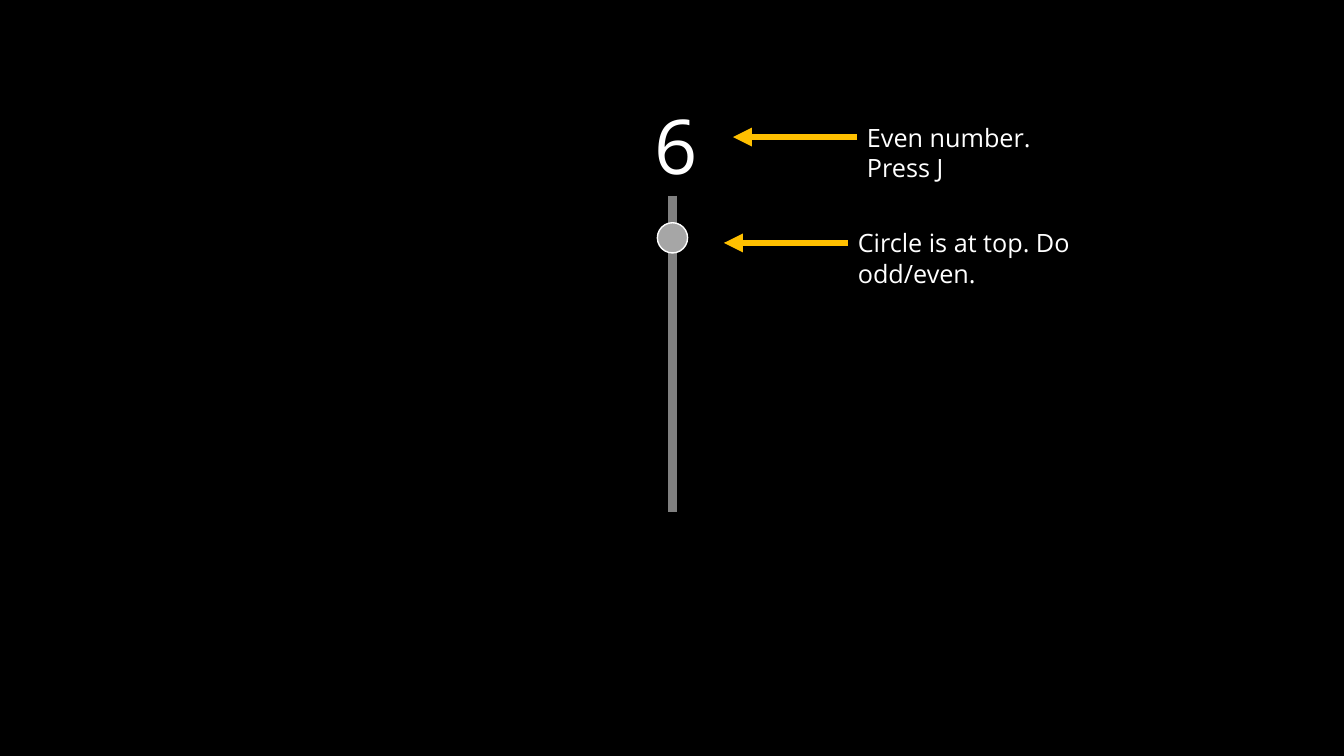
"""Build the odd/even task slide with a slider, a cue number and two notes."""
from pptx import Presentation
from pptx.dml.color import RGBColor
from pptx.enum.shapes import MSO_CONNECTOR as Connector, MSO_SHAPE as Shape
from pptx.oxml.ns import qn
from pptx.util import Inches, Pt
from lxml.etree import SubElement

COLORS = {"background": "000000", "text": "FFFFFF", "track": "808080",
          "knob": "A6A6A6", "arrow": "FFC000"}
COLORS = {name: RGBColor.from_string(value) for name, value in COLORS.items()}

deck = Presentation()
deck.slide_width, deck.slide_height = Inches(13.33), Inches(7.5)
page = deck.slides.add_slide(deck.slide_layouts[6])
page.background.fill.solid()
page.background.fill.fore_color.rgb = COLORS["background"]


def add_text(text, left, top, width, height, size):
    box = page.shapes.add_textbox(*map(Inches, (left, top, width, height)))
    box.text_frame.word_wrap = True
    span = box.text_frame.paragraphs[0].add_run()
    span.text = text
    for name, value in {"name": "Open Sans", "size": Pt(size)}.items():
        setattr(span.font, name, value)
    span.font.color.rgb = COLORS["text"]


def add_line(start, end, color, weight):
    line = page.shapes.add_connector(Connector.STRAIGHT, *map(Inches, start + end))
    line.line.color.rgb = COLORS[color]
    line.line.width = Pt(weight)
    SubElement(line._element.spPr, qn("a:effectLst"))
    return line


add_text("6", 6.39, 0.93, 0.54, 1.01, 54)
add_line((6.67, 1.94), (6.67, 5.08), "track", 6)

knob = page.shapes.add_shape(Shape.OVAL, *map(Inches, (6.52, 2.21, 0.3, 0.3)))
knob.shadow.inherit = False
knob.fill.solid()
knob.fill.fore_color.rgb = COLORS["knob"]
knob.line.color.rgb = COLORS["text"]
knob.line.width = Pt(1)

notes = [("Even number. Press J", 8.5, 1.16, 2.25),
         ("Circle is at top. Do odd/even.", 8.41, 2.21, 2.94)]
for text, left, top, width in notes:
    middle = top + 0.2
    arrow = add_line((left, middle), (left - 1.23, middle), "arrow", 4.5)
    SubElement(arrow.line._get_or_add_ln(), qn("a:tailEnd"), type="triangle")
    add_text(text, left, top, width, 0.4, 18)

deck.save("out.pptx")
